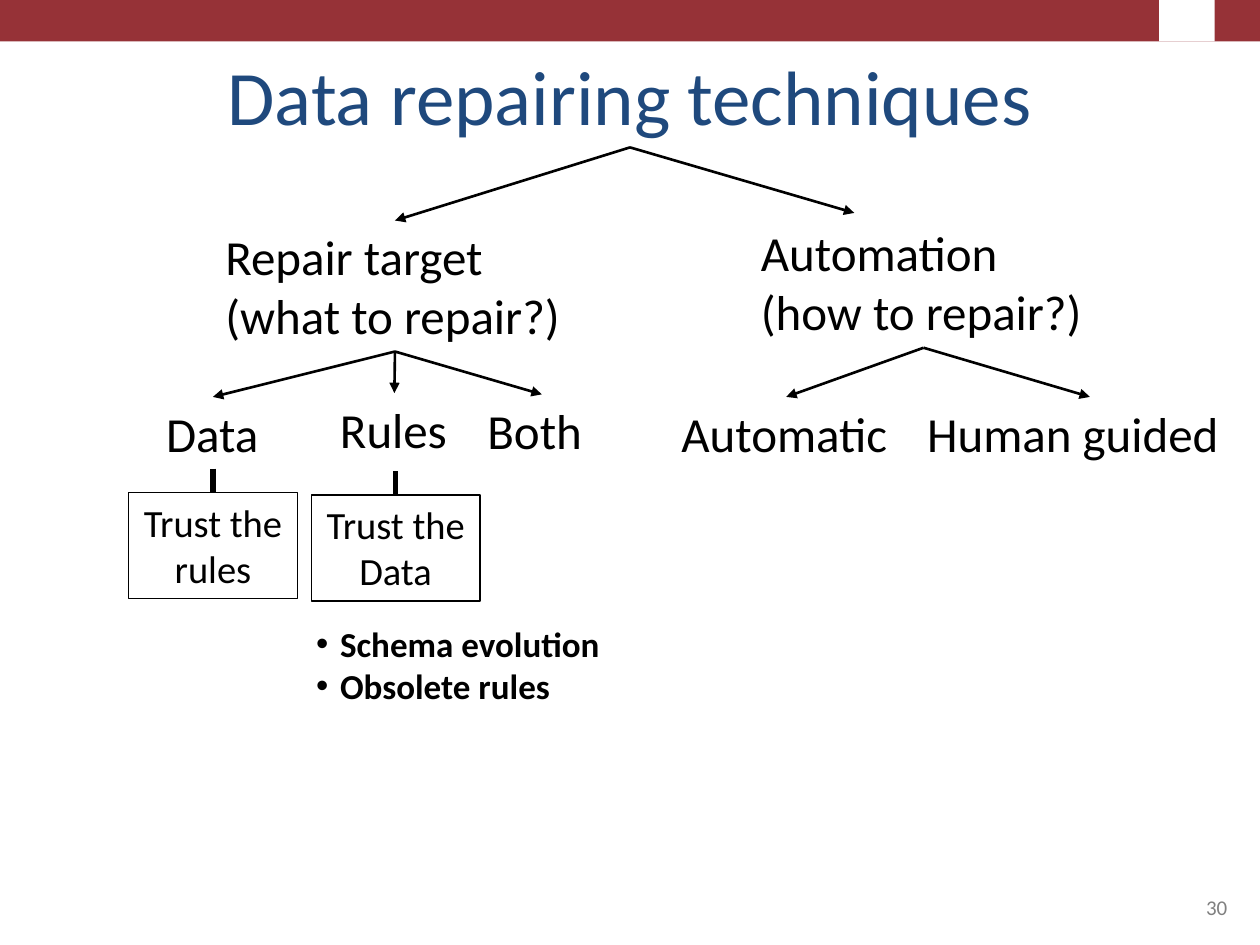
"""Build a slide with a tree of data repairing techniques."""
import pptx
import pptx.dml.color
import pptx.enum.shapes
import pptx.enum.text
import pptx.oxml
import pptx.oxml.ns
import pptx.util

Inches = pptx.util.Inches
Pt = pptx.util.Pt
RGBColor = pptx.dml.color.RGBColor
Align = pptx.enum.text.PP_ALIGN
Anchor = pptx.enum.text.MSO_ANCHOR
AutoSize = pptx.enum.text.MSO_AUTO_SIZE
RECTANGLE = pptx.enum.shapes.MSO_SHAPE.RECTANGLE
STRAIGHT = pptx.enum.shapes.MSO_CONNECTOR.STRAIGHT

BLACK = RGBColor(0x00, 0x00, 0x00)
WHITE = RGBColor(0xFF, 0xFF, 0xFF)
RED = RGBColor(0x96, 0x32, 0x37)
NAVY = RGBColor(0x1F, 0x49, 0x7D)
GRAY = RGBColor(0x80, 0x80, 0x80)
FONT = "Calibri"
TOP, BOTTOM = 0, 2


def add_xml(parent, tag, **attributes):
    """Append a drawing element with the given attributes."""
    element = pptx.oxml.parse_xml(f"<{tag} {pptx.oxml.ns.nsdecls('a')}/>")
    for name, value in attributes.items():
        element.set(name, value)
    parent.append(element)


def write_text(shape, text, size=28, color=BLACK, bold=False, align=Align.LEFT,
               anchor=Anchor.TOP, wrap=True, fit=AutoSize.SHAPE_TO_FIT_TEXT, bullet=False):
    """Fill a shape with formatted paragraphs, one for each line of text."""
    frame = shape.text_frame
    frame.text = text
    frame.word_wrap = wrap
    frame.auto_size = fit
    frame.vertical_anchor = anchor
    for paragraph in frame.paragraphs:
        paragraph.alignment = align
        if bullet:
            properties = paragraph._p.get_or_add_pPr()
            properties.set("marL", str(Inches(0.19)))
            properties.set("indent", str(-Inches(0.19)))
            add_xml(properties, "a:buFont", typeface="Arial")
            add_xml(properties, "a:buChar", char="•")
        for run in paragraph.runs:
            run.font.name = FONT
            run.font.size = Pt(size)
            run.font.bold = bold
            run.font.color.rgb = color


def add_label(slide, text, left, top, width, height, **text_format):
    """Add a text box and return it."""
    label = slide.shapes.add_textbox(Inches(left), Inches(top), Inches(width), Inches(height))
    write_text(label, text, **text_format)
    return label


def add_rectangle(slide, left, top, width, height, fill=None, line=None):
    """Add a rectangle with an optional fill and outline."""
    shape = slide.shapes.add_shape(
        RECTANGLE, Inches(left), Inches(top), Inches(width), Inches(height))
    shape.shadow.inherit = False
    if fill is None:
        shape.fill.background()
    else:
        shape.fill.solid()
        shape.fill.fore_color.rgb = fill
    if line is None:
        shape.line.fill.background()
    else:
        shape.line.color.rgb = line
        shape.line.width = Pt(0.75)
    return shape


def add_line(slide, start, end, width=1.5, arrow=True):
    """Join two ends, each a shape (bottom to top) or a point in inches."""
    connector = slide.shapes.add_connector(STRAIGHT, 0, 0, 0, 0)
    if isinstance(start, tuple):
        connector.begin_x, connector.begin_y = map(Inches, start)
    else:
        connector.begin_connect(start, BOTTOM)
    if isinstance(end, tuple):
        connector.end_x, connector.end_y = map(Inches, end)
    else:
        connector.end_connect(end, TOP)
    connector.line.color.rgb = BLACK
    connector.line.width = Pt(width)
    if arrow:
        add_xml(connector.line._get_or_add_ln(), "a:tailEnd", type="triangle")
    add_xml(connector._element.spPr, "a:effectLst")


def add_title(slide, text):
    """Place and format the title placeholder."""
    title = slide.shapes.title
    title.left, title.top, title.width, title.height = map(Inches, (0.5, 0.3, 9, 0.87))
    write_text(title, text, size=44, color=NAVY, align=Align.CENTER,
               anchor=Anchor.BOTTOM, fit=AutoSize.NONE)
    return title


def add_trust_box(slide, text, left, top):
    """Add an outlined box that names what is trusted."""
    box = add_rectangle(slide, left, top, 1.34, 0.84, line=BLACK)
    write_text(box, text, size=22, align=Align.CENTER)
    return box


def main():
    """Build and save the slide."""
    presentation = pptx.Presentation()
    presentation.slide_width, presentation.slide_height = Inches(10), Inches(7.5)
    slide = presentation.slides.add_slide(presentation.slide_layouts[5])

    add_rectangle(slide, 0, 0, 10, 0.33, fill=RED)
    add_rectangle(slide, 9.2, 0, 0.44, 0.33, fill=WHITE)
    title = add_title(slide, "Data repairing techniques")
    add_label(slide, "30", 7.17, 6.83, 2.67, 0.52, size=12, color=GRAY,
              align=Align.RIGHT, anchor=Anchor.BOTTOM, fit=AutoSize.NONE)

    target = add_label(slide, "Repair target\n(what to repair?)", 1.69, 1.75, 2.89, 1.04, wrap=False)
    automation = add_label(slide, "Automation\n(how to repair?)", 5.94, 1.72, 2.78, 1.04, wrap=False)
    data = add_label(slide, "Data", 1.22, 3.15, 0.94, 0.57, wrap=False)
    rules = add_label(slide, "Rules", 2.6, 3.12, 1.06, 0.57, wrap=False)
    both = add_label(slide, "Both", 3.77, 3.13, 1.06, 0.57)
    automatic = add_label(slide, "Automatic", 5.31, 3.15, 1.86, 0.57, wrap=False)
    guided = add_label(slide, "Human guided", 7.26, 3.15, 2.78, 0.57)

    branches = [(title, (target, (6.78, 1.69))),
                (target, (data, rules, both)),
                (automation, (automatic, guided))]
    for parent, children in branches:
        for child in children:
            add_line(slide, parent, child)

    trust_rules = add_trust_box(slide, "Trust the\nrules", 1.02, 3.91)
    trust_data = add_trust_box(slide, "Trust the\nData", 2.47, 3.93)
    add_line(slide, data, trust_rules, width=3, arrow=False)
    add_line(slide, (3.14, 3.74), trust_data, width=3, arrow=False)
    add_label(slide, "Schema evolution\nObsolete rules", 2.41, 4.89, 3.22, 0.77,
              size=20, bold=True, bullet=True)

    presentation.save("out.pptx")


if __name__ == "__main__":
    main()
